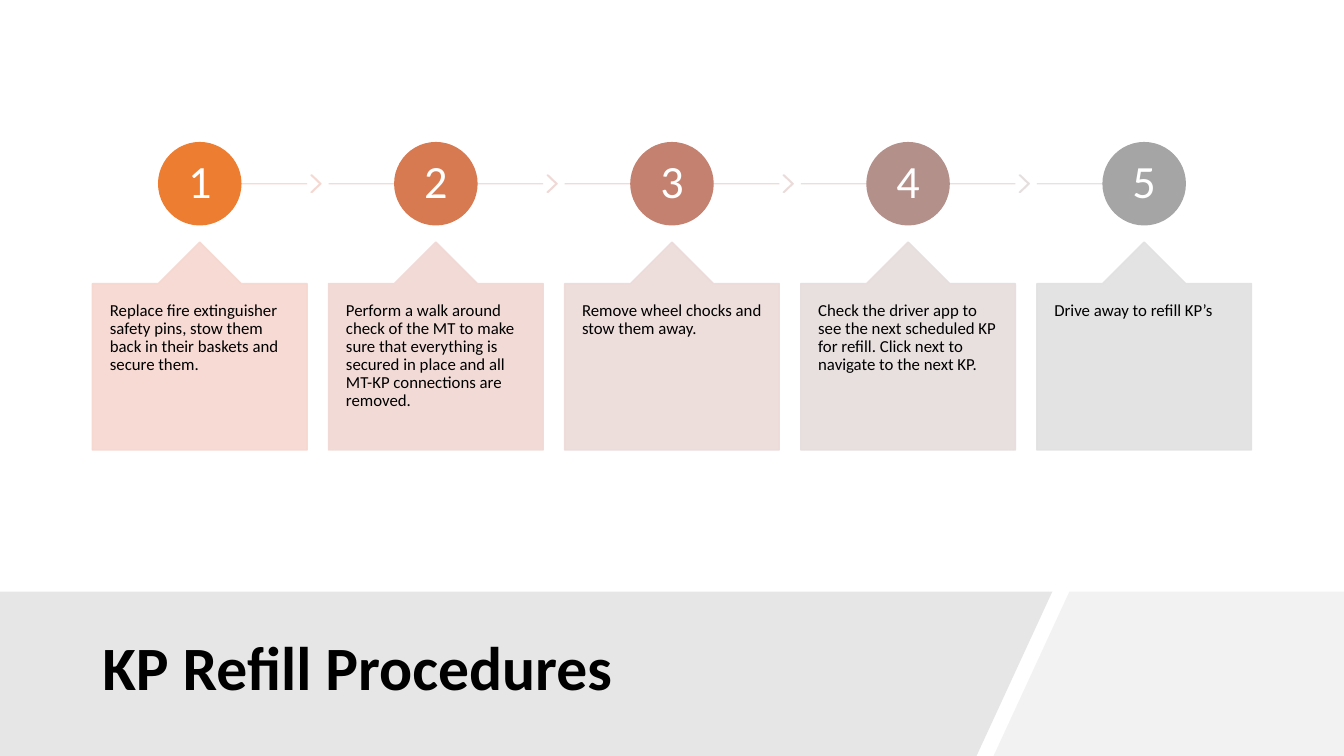
from lxml import etree
from pptx import Presentation
from pptx.dml.color import RGBColor
from pptx.enum.shapes import MSO_CONNECTOR, MSO_SHAPE
from pptx.enum.text import MSO_ANCHOR, PP_ALIGN
from pptx.oxml.ns import qn
from pptx.util import Cm, Pt

OVAL = MSO_SHAPE.OVAL
CALLOUT = MSO_SHAPE.UP_ARROW_CALLOUT
CHEVRON = MSO_SHAPE.CHEVRON
STRAIGHT = MSO_CONNECTOR.STRAIGHT
TOP, MIDDLE = MSO_ANCHOR.TOP, MSO_ANCHOR.MIDDLE
LEFT, CENTER = PP_ALIGN.LEFT, PP_ALIGN.CENTER

BLACK = RGBColor(0x00, 0x00, 0x00)
WHITE = RGBColor(0xFF, 0xFF, 0xFF)
BAND_DARK = RGBColor(0xE7, 0xE6, 0xE6)
BAND_LIGHT = RGBColor(0xF2, 0xF2, 0xF2)
CIRCLE_COLORS = [
    RGBColor(0xED, 0x7D, 0x31), RGBColor(0xD8, 0x7A, 0x51), RGBColor(0xC4, 0x81, 0x70),
    RGBColor(0xB4, 0x90, 0x8B), RGBColor(0xA5, 0xA5, 0xA5),
]
LINE_COLORS = [
    RGBColor(0xF8, 0xD7, 0xCE), RGBColor(0xF3, 0xD8, 0xD2), RGBColor(0xEE, 0xD9, 0xD6),
    RGBColor(0xE8, 0xDC, 0xDB), RGBColor(0xE3, 0xDF, 0xDF),
]
CARD_COLORS = [
    RGBColor(0xF6, 0xD7, 0xCF), RGBColor(0xF1, 0xD8, 0xD3), RGBColor(0xEC, 0xDA, 0xD8),
    RGBColor(0xE6, 0xDD, 0xDC), RGBColor(0xE1, 0xE1, 0xE1),
]
CHEVRON_COLORS = [
    RGBColor(0xF5, 0xD7, 0xD0), RGBColor(0xEF, 0xD8, 0xD5),
    RGBColor(0xEA, 0xDB, 0xD9), RGBColor(0xE5, 0xDE, 0xDE),
]

STEPS = [
    "Replace fire extinguisher safety pins, stow them back in their baskets and secure them.",
    "Perform a walk around check of the MT to make sure that everything is secured in place "
    "and all MT-KP connections are removed.",
    "Remove wheel chocks and stow them away.",
    "Check the driver app to see the next scheduled KP for refill. "
    "Click next to navigate to the next KP.",
    "Drive away to refill KP’s",
]

WIDTH, HEIGHT = 33.87, 19.05
CARD_LEFT, CARD_TOP, CARD_W, CARD_H, GAP = 2.33, 6.1, 5.41, 5.24, 0.54
LINE_Y, DIAMETER = 4.63, 2.07
CHEVRON_W, CHEVRON_H, CHEVRON_OFFSET = 0.25, 0.43, 5.51
BAND_TOP = 14.91

NUMBER = {"size": Pt(33), "color": WHITE, "align": CENTER, "anchor": MIDDLE, "inset": (0.08, 0.08)}
BODY = {"size": Pt(12), "color": BLACK, "align": LEFT, "anchor": TOP, "inset": (0.44, 0.45)}
TITLE = {"size": Pt(44), "color": BLACK, "align": LEFT, "anchor": MIDDLE, "inset": (0.25, 0.13),
         "bold": True}


class SlideBuilder:
    font = "Calibri"
    line_spacing = 0.9
    alpha = "90000"

    def __init__(self, slide):
        self.s = slide

    def soften(self, sp):
        for color in sp.element.spPr.iter(qn("a:srgbClr")):
            etree.SubElement(color, qn("a:alpha"), val=self.alpha)

    def fill_text(self, sp, text, style):
        tf = sp.text_frame
        x_inset, y_inset = (Cm(v) for v in style["inset"])
        frame = {"word_wrap": True, "vertical_anchor": style["anchor"],
                 "margin_left": x_inset, "margin_right": x_inset,
                 "margin_top": y_inset, "margin_bottom": y_inset}
        p = tf.paragraphs[0]
        r = p.add_run()
        r.text = text
        font = {"name": self.font, "size": style["size"], "bold": style.get("bold", False)}
        paragraph = {"alignment": style["align"], "line_spacing": self.line_spacing}
        for target, values in ((tf, frame), (p, paragraph), (r.font, font)):
            for name, value in values.items():
                setattr(target, name, value)
        r.font.color.rgb = style["color"]

    def shape(self, kind, x, y, w, h, color, adjustments=(), soft=False):
        sp = self.s.shapes.add_shape(kind, Cm(x), Cm(y), Cm(w), Cm(h))
        sp.shadow.inherit = False
        for i, value in enumerate(adjustments):
            sp.adjustments[i] = value
        sp.fill.solid()
        sp.fill.fore_color.rgb = color
        sp.line.color.rgb = color
        sp.line.width = Pt(1)
        if soft:
            self.soften(sp)
        return sp

    def line(self, x1, x2, y, color):
        sp = self.s.shapes.add_connector(STRAIGHT, Cm(x1), Cm(y), Cm(x2), Cm(y))
        sp.line.color.rgb = color
        sp.line.width = Pt(1)
        self.soften(sp)
        etree.SubElement(sp.element.spPr, qn("a:effectLst"))

    def band(self, points, color):
        corners = [(Cm(x), Cm(y)) for x, y in points]
        builder = self.s.shapes.build_freeform(*corners[0])
        builder.add_line_segments(corners[1:], close=True)
        sp = builder.convert_to_shape()
        sp.shadow.inherit = False
        sp.fill.solid()
        sp.fill.fore_color.rgb = color
        sp.line.fill.background()

    def text(self, x, y, w, h, text, style):
        sp = self.s.shapes.add_textbox(Cm(x), Cm(y), Cm(w), Cm(h))
        self.fill_text(sp, text, style)

    def step(self, i, text):
        left = CARD_LEFT + i * (CARD_W + GAP)
        center, right = left + CARD_W / 2, left + CARD_W
        last = len(STEPS) - 1
        self.line(center if i == 0 else left, center if i == last else right,
                  LINE_Y, LINE_COLORS[i])
        circle = self.shape(OVAL, center - DIAMETER / 2, LINE_Y - DIAMETER / 2,
                            DIAMETER, DIAMETER, CIRCLE_COLORS[i])
        self.fill_text(circle, str(i + 1), NUMBER)
        card = self.shape(CALLOUT, left, CARD_TOP, CARD_W, CARD_H, CARD_COLORS[i],
                          (0.5, 0.2, 0.2, 1), soft=True)
        self.fill_text(card, text, BODY)
        if i < last:
            self.shape(CHEVRON, left + CHEVRON_OFFSET, LINE_Y - CHEVRON_H / 2,
                       CHEVRON_W, CHEVRON_H, CHEVRON_COLORS[i], (0.9,), soft=True)


def main():
    prs = Presentation()
    prs.slide_width, prs.slide_height = Cm(WIDTH), Cm(HEIGHT)
    slide = SlideBuilder(prs.slides.add_slide(prs.slide_layouts[6]))
    slide.band([(26.95, BAND_TOP), (WIDTH, BAND_TOP), (WIDTH, HEIGHT), (25.04, HEIGHT)],
               BAND_LIGHT)
    slide.band([(0, BAND_TOP), (26.52, BAND_TOP), (24.61, HEIGHT), (0, HEIGHT)], BAND_DARK)
    for i, text in enumerate(STEPS):
        slide.step(i, text)
    slide.text(2.33, 15.37, 22.43, 3.05, "KP Refill Procedures", TITLE)
    prs.save("out.pptx")


if __name__ == "__main__":
    main()
